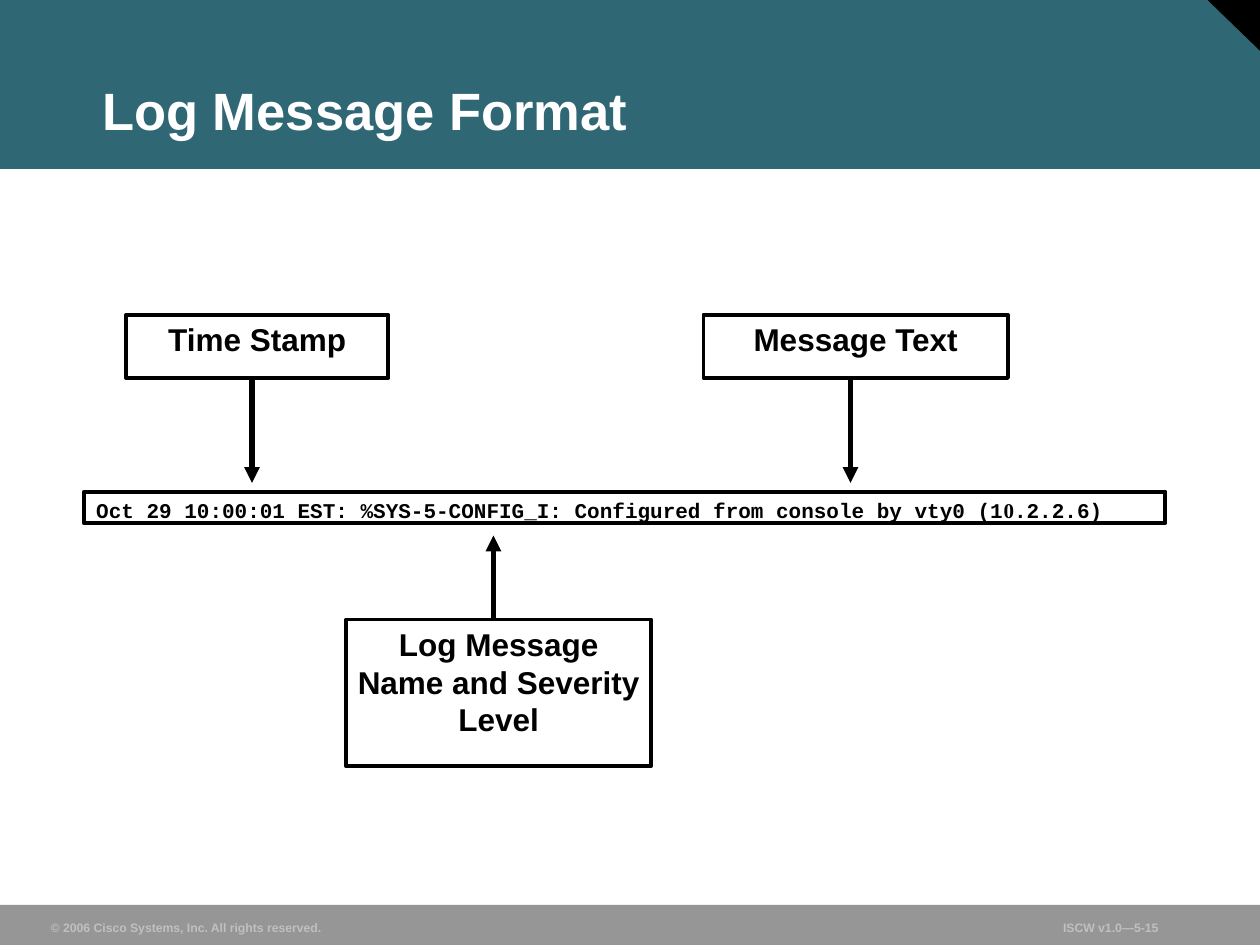
from dataclasses import dataclass
from pptx import Presentation
from pptx import util as u
from pptx.dml import color
from pptx.enum import shapes, text
from pptx.oxml import ns, xmlchemy

HUE = {"teal": "306774", "black": "000000", "gray": "969696",
       "pale": "C0C0C0", "white": "FFFFFF"}
RECT = shapes.MSO_SHAPE.RECTANGLE
TOP, LOW = text.MSO_ANCHOR.TOP, text.MSO_ANCHOR.BOTTOM
LEFT, MID = text.PP_ALIGN.LEFT, text.PP_ALIGN.CENTER


@dataclass
class Box:
    x: float
    y: float
    w: float
    h: float

    def pts(self) -> list:
        return [u.Pt(v) for v in (self.x, self.y, self.w, self.h)]


@dataclass
class Style:
    size: float
    hue: str
    face: str = "Arial"
    align: int = LEFT
    anchor: int = LOW
    pad: tuple = (6.5, 3, 6.5, 3)
    wrap: bool = True


@dataclass
class Arrow:
    x: float
    top: float
    end: float


def rgb(hue: str) -> color.RGBColor:
    return color.RGBColor.from_string(HUE[hue])


def block(slide, box: Box, fill: str, kind=RECT, edge: float = 0):
    shape = slide.shapes.add_shape(kind, *box.pts())
    shape.shadow.inherit = False
    shape.fill.solid()
    shape.fill.fore_color.rgb = rgb(fill)
    if edge:
        shape.line.color.rgb = rgb("black")
        shape.line.width = u.Pt(edge)
    else:
        shape.line.fill.background()
    return shape


def write(shape, words: str, style: Style):
    frame = shape.text_frame
    frame.word_wrap = style.wrap
    frame.vertical_anchor = style.anchor
    (frame.margin_left, frame.margin_top,
     frame.margin_right, frame.margin_bottom) = map(u.Pt, style.pad)
    para = frame.paragraphs[0]
    para.alignment = style.align
    para.add_run().text = words
    font = para.font
    font.name, font.size, font.bold = style.face, u.Pt(style.size), True
    font.color.rgb = rgb(style.hue)
    return para


def label(slide, box: Box, words: str, style: Style):
    return write(slide.shapes.add_textbox(*box.pts()), words, style)


def point(slide, arrow: Arrow) -> None:
    line = slide.shapes.add_connector(
        shapes.MSO_CONNECTOR.STRAIGHT, u.Pt(arrow.x), u.Pt(arrow.top),
        u.Pt(arrow.x), u.Pt(arrow.end))
    line.line.color.rgb = rgb("black")
    line.line.width = u.Pt(3)
    tip = xmlchemy.OxmlElement("a:tailEnd")
    tip.set("type", "triangle")
    props = line._element.spPr
    props.find(ns.qn("a:ln")).append(tip)
    props.append(xmlchemy.OxmlElement("a:effectLst"))


NOTES = [
    (Box(72, 180, 150, 36), "Time Stamp"),
    (Box(198, 354, 174, 84), "Log Message Name and Severity Level"),
    (Box(402, 180, 174, 36), "Message Text"),
]
ARROWS = [Arrow(144, 216, 276), Arrow(486, 216, 276), Arrow(282, 354, 306)]
FOOT = [
    (Box(22.5, 522.5, 168, 15), "© 2006 Cisco Systems, Inc. All rights reserved."),
    (Box(601, 522.5, 94, 15), "ISCW v1.0—5-15"),
]
LOG = [
    "Oct 29 10:00:01 EST: %SYS-5-CONFIG_I: Configured from console by vty0 (1",
    "0",
    ".2.2.6)",
]


def main() -> None:
    """Build the log message format slide."""
    deck = Presentation()
    deck.slide_width, deck.slide_height = u.Pt(720), u.Pt(540)
    slide = deck.slides.add_slide(deck.slide_layouts[6])

    block(slide, Box(0, 0, 720, 96.5), "teal")
    fold = block(slide, Box(690, 0, 30, 29), "black",
                 shapes.MSO_SHAPE.RIGHT_TRIANGLE)
    fold.rotation = 180
    block(slide, Box(0, 517, 720, 23), "gray")
    for box, words in FOOT:
        label(slide, box, words, Style(7, "pale", wrap=False))
    title = label(slide, Box(52, 18, 641.5, 66), "Log Message Format",
                  Style(30, "white"))
    title.line_spacing = 0.9

    bar = block(slide, Box(48, 281, 618, 18), "white", edge=2.25)
    line = write(bar, LOG[0], Style(12, "black", "Courier New", anchor=TOP,
                                    pad=(7, 3.5, 7, 0)))
    for words, face in zip(LOG[1:], ("Times New Roman", "Courier New")):
        run = line.add_run()
        run.text, run.font.name = words, face

    note = Style(18, "black", align=MID, anchor=TOP, pad=(6, 3, 6, 3))
    for box, words in NOTES:
        write(block(slide, box, "white", edge=2.25), words, note)
    for arrow in ARROWS:
        point(slide, arrow)
    deck.save("out.pptx")


if __name__ == "__main__":
    main()
